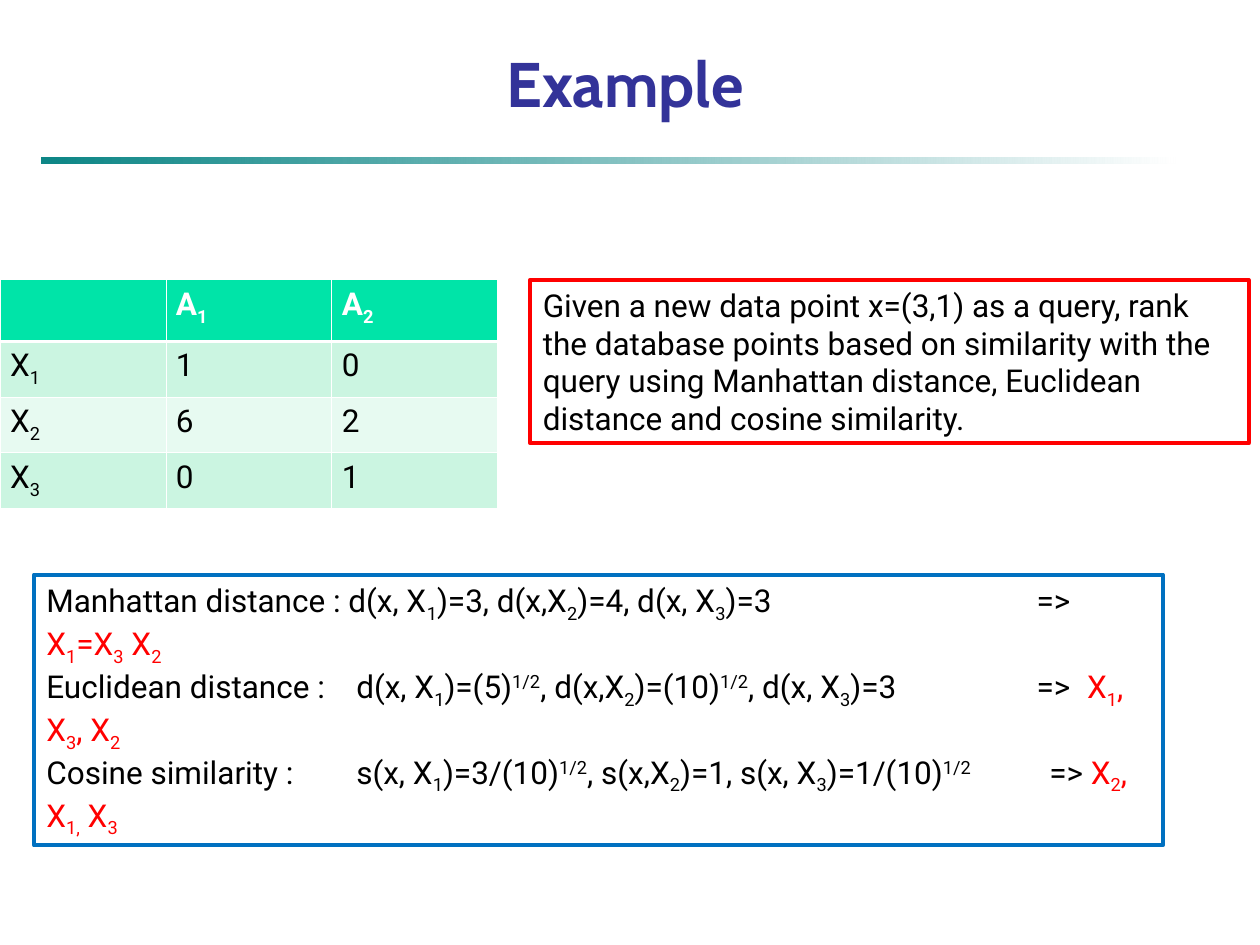
from dataclasses import dataclass

from lxml.etree import SubElement
from pptx import Presentation
from pptx.dml.color import RGBColor
from pptx.enum.shapes import MSO_SHAPE as Shape
from pptx.enum.text import MSO_ANCHOR as Anchor, PP_ALIGN as Align
from pptx.oxml.ns import qn
from pptx.util import Inches, Pt

BODY_FONT = "Roboto"
BODY_SIZE = 18
BLACK, WHITE, RED = "000000", "FFFFFF", "FF0000"
BASELINES = {"_": "-25000", "^": "30000"}


@dataclass(frozen=True)
class Box:
    left: float
    top: float
    width: float
    height: float

    def lengths(self) -> list:
        return [Inches(n) for n in (self.left, self.top, self.width, self.height)]


@dataclass(frozen=True)
class Ranking:
    measure: str
    answer: str
    tabs: tuple


QUESTION = (
    "Given a new data point x=(3,1) as a query, rank the database points based on "
    "similarity with the query using Manhattan distance, Euclidean distance and "
    "cosine similarity."
)
RANKINGS = [
    Ranking("Manhattan distance : d(x, X|_1|)=3, d(x,X|_2|)=4, d(x, X|_3|)=3\t=>\t",
            "X|_1|=X|_3| X|_2", (7.86, 8.26)),
    Ranking("Euclidean distance :\td(x, X|_1|)=(5)|^1/2|, d(x,X|_2|)=(10)|^1/2|, "
            "d(x, X|_3|)=3\t=>\t", "X|_1|, X|_3|, X|_2", (2.46, 7.86, 8.26)),
    Ranking("Cosine similarity :\ts(x, X|_1|)=3/(10)|^1/2|, s(x,X|_2|)=1, "
            "s(x, X|_3|)=1/(10)|^1/2|\t=> ", "X|_2|, X|_1,| X|_3", (2.46, 7.96)),
]
TABLE_ROWS = [
    ("", "A|_1", "A|_2"),
    ("X|_1", "1", "0"),
    ("X|_2", "6", "2"),
    ("X|_3", "0", "1"),
]


def rgb(value: str) -> RGBColor:
    return RGBColor.from_string(value)


def style(font, color: str, size: int = BODY_SIZE, name: str = BODY_FONT,
          bold: bool = False) -> None:
    font.size, font.name, font.bold = Pt(size), name, bold
    font.color.rgb = rgb(color)


def add_formula(paragraph, formula: str, color: str, bold: bool = False) -> None:
    for piece in formula.split("|"):
        baseline = BASELINES.get(piece[:1])
        run = paragraph.add_run()
        run.text = piece[1:] if baseline else piece
        style(run.font, color, bold=bold)
        if baseline:
            run._r.get_or_add_rPr().set("baseline", baseline)


def add_tabs(paragraph, positions: tuple) -> None:
    tab_list = SubElement(paragraph._p.get_or_add_pPr(), qn("a:tabLst"))
    for position in positions:
        SubElement(tab_list, qn("a:tab"), pos=str(Inches(position)), algn="l")


def add_title(slide, box: Box, text: str) -> None:
    text_frame = slide.shapes.add_textbox(*box.lengths()).text_frame
    text_frame.word_wrap = True
    text_frame.vertical_anchor = Anchor.BOTTOM
    text_frame.text = text
    paragraph = text_frame.paragraphs[0]
    paragraph.alignment = Align.CENTER
    style(paragraph.runs[0].font, "333399", 36, "Cabin", True)


def add_rule(slide, box: Box) -> None:
    shape = slide.shapes.add_shape(Shape.RECTANGLE, *box.lengths())
    shape.shadow.inherit = False
    shape.line.fill.background()
    shape.fill.gradient()
    shape.fill.gradient_angle = 0
    for stop, color in zip(shape.fill.gradient_stops, ("008080", WHITE)):
        stop.color.rgb = rgb(color)
    teal = next(shape._element.iter(qn("a:srgbClr")))
    SubElement(teal, qn("a:alpha"), val="95000")


def add_frame(slide, box: Box, line_color: str):
    shape = slide.shapes.add_shape(Shape.RECTANGLE, *box.lengths())
    shape.shadow.inherit = False
    shape.fill.background()
    shape.line.color.rgb = rgb(line_color)
    shape.line.width = Pt(2.25)
    text_frame = shape.text_frame
    text_frame.word_wrap = True
    text_frame.vertical_anchor = Anchor.TOP
    return text_frame


def add_question(slide, box: Box) -> None:
    text_frame = add_frame(slide, box, RED)
    text_frame.text = QUESTION
    paragraph = text_frame.paragraphs[0]
    paragraph.alignment = Align.LEFT
    style(paragraph.runs[0].font, BLACK)


def add_rankings(slide, box: Box) -> None:
    text_frame = add_frame(slide, box, "0070C0")
    for index, ranking in enumerate(RANKINGS):
        paragraph = text_frame.add_paragraph() if index else text_frame.paragraphs[0]
        paragraph.alignment = Align.LEFT
        add_tabs(paragraph, ranking.tabs)
        add_formula(paragraph, ranking.measure, BLACK)
        add_formula(paragraph, ranking.answer, RED)


def add_borders(cell, widths: dict) -> None:
    properties = cell._tc.get_or_add_tcPr()
    for side, width in widths.items():
        line = SubElement(properties, qn(f"a:ln{side}"), w=str(Pt(width)))
        SubElement(SubElement(line, qn("a:solidFill")), qn("a:srgbClr"), val=WHITE)


def add_points_table(slide, box: Box) -> None:
    frame = slide.shapes.add_table(len(TABLE_ROWS), len(TABLE_ROWS[0]), *box.lengths())
    table = frame.table
    thin, thick = 0.45, 1.47
    for row_index, values in enumerate(TABLE_ROWS):
        header = row_index == 0
        table.rows[row_index].height = Inches(0.49 if header else 0.43)
        fill = "00E4A8" if header else ("E7FAF1", "CBF5E1")[row_index % 2]
        for column_index, value in enumerate(values):
            cell = table.cell(row_index, column_index)
            cell.margin_left = cell.margin_right = Inches(0.08)
            add_borders(cell, {"L": thin, "R": thin,
                               "T": thick if row_index == 1 else thin,
                               "B": thick if header else thin})
            cell.fill.solid()
            cell.fill.fore_color.rgb = rgb(fill)
            if value:
                add_formula(cell.text_frame.paragraphs[0], value,
                            WHITE if header else BLACK, header)


def main() -> None:
    presentation = Presentation()
    presentation.slide_width, presentation.slide_height = Inches(10), Inches(7.5)
    slide = presentation.slides.add_slide(presentation.slide_layouts[6])
    add_rule(slide, Box(0.33, 1.25, 9, 0.05))
    add_title(slide, Box(0.17, 0.33, 9.58, 0.67), "Example")
    add_points_table(slide, Box(0, 2.22, 3.95, 1.78))
    add_question(slide, Box(4.21, 2.22, 5.7, 1.3))
    add_rankings(slide, Box(0.27, 4.56, 8.96, 2.15))
    presentation.save("out.pptx")


if __name__ == "__main__":
    main()
